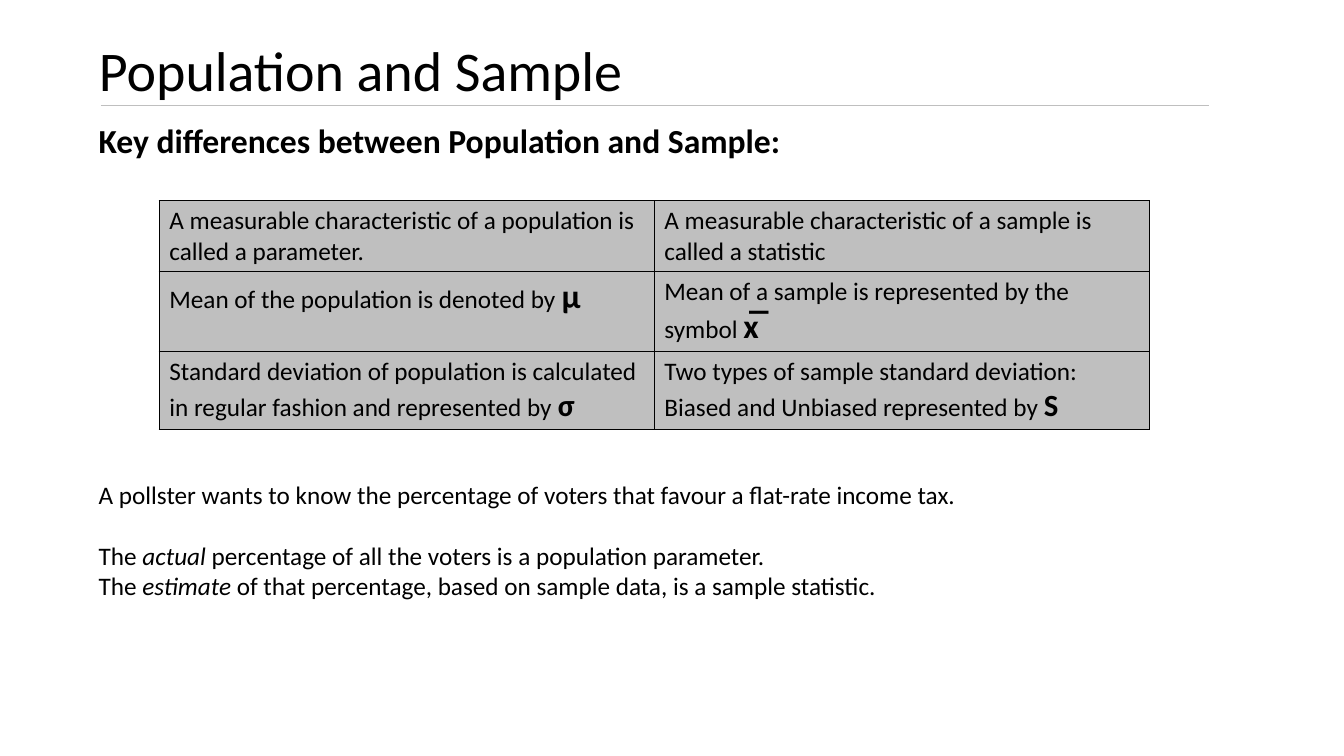
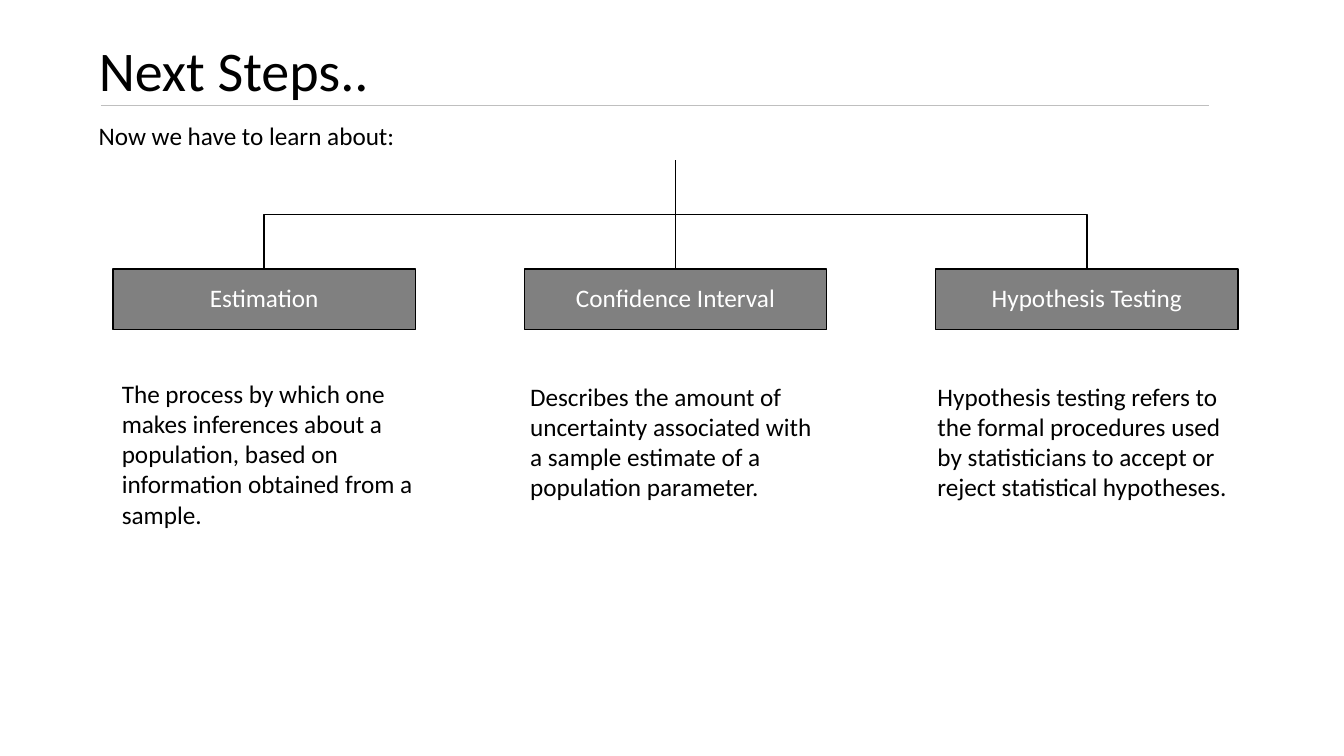
from lxml import etree
from pptx import Presentation
from pptx.dml.color import RGBColor
from pptx.enum.shapes import MSO_CONNECTOR, MSO_SHAPE
from pptx.enum.text import MSO_ANCHOR, MSO_AUTO_SIZE, PP_ALIGN
from pptx.oxml.ns import qn
from pptx.util import Inches, Pt

STRAIGHT = MSO_CONNECTOR.STRAIGHT
RECTANGLE = MSO_SHAPE.RECTANGLE
MIDDLE, BOTTOM = MSO_ANCHOR.MIDDLE, MSO_ANCHOR.BOTTOM
LEFT, CENTER = PP_ALIGN.LEFT, PP_ALIGN.CENTER
NO_AUTOFIT = MSO_AUTO_SIZE.NONE

COLORS = {"text": "000000", "light": "FFFFFF", "rule": "BFBFBF",
          "cell": "BFBFBF", "box": "808080", "line": "000000"}
FONT = "Calibri"
BODY_SIZE = 18
MARGIN = 0.88
TITLE_ONLY = 5


def write(frame, paragraphs, color="text", size=BODY_SIZE):
    """Fill a text frame; each paragraph is a list of (text, font settings) runs."""
    frame.word_wrap = True
    for index, runs in enumerate(paragraphs):
        paragraph = frame.paragraphs[0] if index == 0 else frame.add_paragraph()
        for text, settings in runs:
            run = paragraph.add_run()
            run.text = text
            font = run.font
            font.name = FONT
            font.size = Pt(settings.get("size", size))
            font.bold = settings.get("bold", False)
            font.italic = settings.get("italic", False)
            font.color.rgb = RGBColor.from_string(COLORS[color])


def add_line(slide, x1, y1, x2, y2, color="line", width=1):
    line = slide.shapes.add_connector(
        STRAIGHT, Inches(x1), Inches(y1), Inches(x2), Inches(y2))
    line.line.color.rgb = RGBColor.from_string(COLORS[color])
    line.line.width = Pt(width)
    etree.SubElement(line._element.spPr, qn("a:effectLst"))
    return line


prs = Presentation()
prs.slide_width, prs.slide_height = Inches(13.33), Inches(7.5)

# Shared title and rule
slides = []
for heading in ("Population and Sample", "Next Steps.."):
    slide = prs.slides.add_slide(prs.slide_layouts[TITLE_ONLY])
    title = slide.shapes.title
    title.left, title.top = Inches(MARGIN), Inches(0.3)
    title.width, title.height = Inches(10.7), Inches(0.78)
    write(title.text_frame, [[(heading, {})]], size=40)
    title.text_frame.auto_size = NO_AUTOFIT
    title.text_frame.vertical_anchor = BOTTOM
    title.text_frame.paragraphs[0].alignment = LEFT
    title.text_frame.paragraphs[0].line_spacing = 0.9
    add_line(slide, 1, 1.05, 11.99, 1.05, "rule", 0.5)
    slides.append(slide)
comparison, next_steps = slides

# Slide 1: population against sample
subtitle = comparison.shapes.add_textbox(
    Inches(MARGIN), Inches(1.14), Inches(11.28), Inches(0.5))
write(subtitle.text_frame,
      [[("Key differences between Population and Sample:", {"bold": True})]], size=24)

MEAN_SYMBOL = {"size": 24, "bold": True}
DEVIATION_SYMBOL = {"size": 22, "bold": True}
differences = [
    ([("A measurable characteristic of a population is called a parameter.", {})],
     [("A measurable characteristic of a sample is called a statistic", {})]),
    ([("Mean of the population is denoted by ", {}), ("μ", MEAN_SYMBOL)],
     [("Mean of a sample is represented by the symbol ", {}), ("x̅", MEAN_SYMBOL)]),
    ([("Standard deviation of population is calculated in regular fashion "
       "and represented by ", {}), ("σ", DEVIATION_SYMBOL)],
     [("Two types of sample standard deviation: Biased and Unbiased "
       "represented by ", {}), ("S", DEVIATION_SYMBOL)]),
]
row_heights = [0.7, 0.8, 0.77]
table = comparison.shapes.add_table(
    len(differences), 2, Inches(1.58), Inches(1.99),
    Inches(9.82), Inches(sum(row_heights))).table
table.first_row = table.horz_banding = False
for row, height, contents in zip(table.rows, row_heights, differences):
    row.height = Inches(height)
    for cell, runs in zip(row.cells, contents):
        write(cell.text_frame, [runs])
        cell_properties = cell._tc.get_or_add_tcPr()
        for side in ("a:lnL", "a:lnR", "a:lnT", "a:lnB"):
            border = etree.SubElement(cell_properties, qn(side), w=str(Pt(1)))
            border_fill = etree.SubElement(border, qn("a:solidFill"))
            etree.SubElement(border_fill, qn("a:srgbClr"), val=COLORS["line"])
        cell.fill.solid()
        cell.fill.fore_color.rgb = RGBColor.from_string(COLORS["cell"])

example = comparison.shapes.add_textbox(
    Inches(MARGIN), Inches(4.71), Inches(11.28), Inches(1.31))
write(example.text_frame, [
    [("A pollster wants to know the percentage of voters that favour "
      "a flat-rate income tax.", {})],
    [("The ", {}), ("actual", {"italic": True}),
     (" percentage of all the voters is a population parameter.", {})],
    [("The ", {}), ("estimate", {"italic": True}),
     (" of that percentage, based on sample data, is a sample statistic.", {})],
])
example.text_frame.paragraphs[1].space_before = Pt(21.5)

# Slide 2: tree of the coming topics
intro = next_steps.shapes.add_textbox(
    Inches(MARGIN), Inches(1.14), Inches(11.64), Inches(0.85))
write(intro.text_frame, [[("Now we have to learn about:", {})]])

topics = [
    ("Estimation", 1.11, 3.7, 1.62,
     "The process by which one makes inferences about a population, "
     "based on information obtained from a sample."),
    ("Confidence Interval", 5.16, 3.73, 1.31,
     "Describes the amount of uncertainty associated with a sample estimate "
     "of a population parameter."),
    ("Hypothesis Testing", 9.2, 3.73, 1.31,
     "Hypothesis testing refers to the formal procedures used by statisticians "
     "to accept or reject statistical hypotheses."),
]
BOX_LEFT, BOX_TOP, BOX_WIDTH, BOX_HEIGHT, BOX_STEP = 1.12, 2.67, 3, 0.6, 4.08
TRUNK_TOP, BRANCH_Y = 1.59, 2.13
TRUNK_X = BOX_LEFT + BOX_WIDTH / 2 + BOX_STEP

for index, (name, text_left, text_top, text_height, description) in enumerate(topics):
    box_left = BOX_LEFT + index * BOX_STEP
    center = box_left + BOX_WIDTH / 2
    box = next_steps.shapes.add_shape(
        RECTANGLE, Inches(box_left), Inches(BOX_TOP),
        Inches(BOX_WIDTH), Inches(BOX_HEIGHT))
    box.shadow.inherit = False
    box.fill.solid()
    box.fill.fore_color.rgb = RGBColor.from_string(COLORS["box"])
    box.line.color.rgb = RGBColor.from_string(COLORS["line"])
    box.line.width = Pt(1)
    frame = box.text_frame
    frame.margin_left = frame.margin_right = Inches(0.01)
    frame.margin_top = frame.margin_bottom = Inches(0.01)
    frame.vertical_anchor = MIDDLE
    write(frame, [[(name, {})]], color="light")
    frame.paragraphs[0].alignment = CENTER
    frame.paragraphs[0].line_spacing = 0.9

    if index == 1:
        trunk = add_line(next_steps, TRUNK_X, TRUNK_TOP, TRUNK_X, BOX_TOP)
        trunk.end_connect(box, 0)
    else:
        outline = next_steps.shapes.build_freeform(
            Inches(TRUNK_X), Inches(TRUNK_TOP))
        outline.add_line_segments(
            [(Inches(x), Inches(y)) for x, y in
             ((TRUNK_X, BRANCH_Y), (center, BRANCH_Y), (center, BOX_TOP))],
            close=False)
        branch = outline.convert_to_shape()
        branch.shadow.inherit = False
        branch.fill.background()
        branch.line.color.rgb = RGBColor.from_string(COLORS["line"])
        branch.line.width = Pt(1)

    explanation = next_steps.shapes.add_textbox(
        Inches(text_left), Inches(text_top), Inches(3.1), Inches(text_height))
    write(explanation.text_frame, [[(description, {})]])

prs.save("out.pptx")
